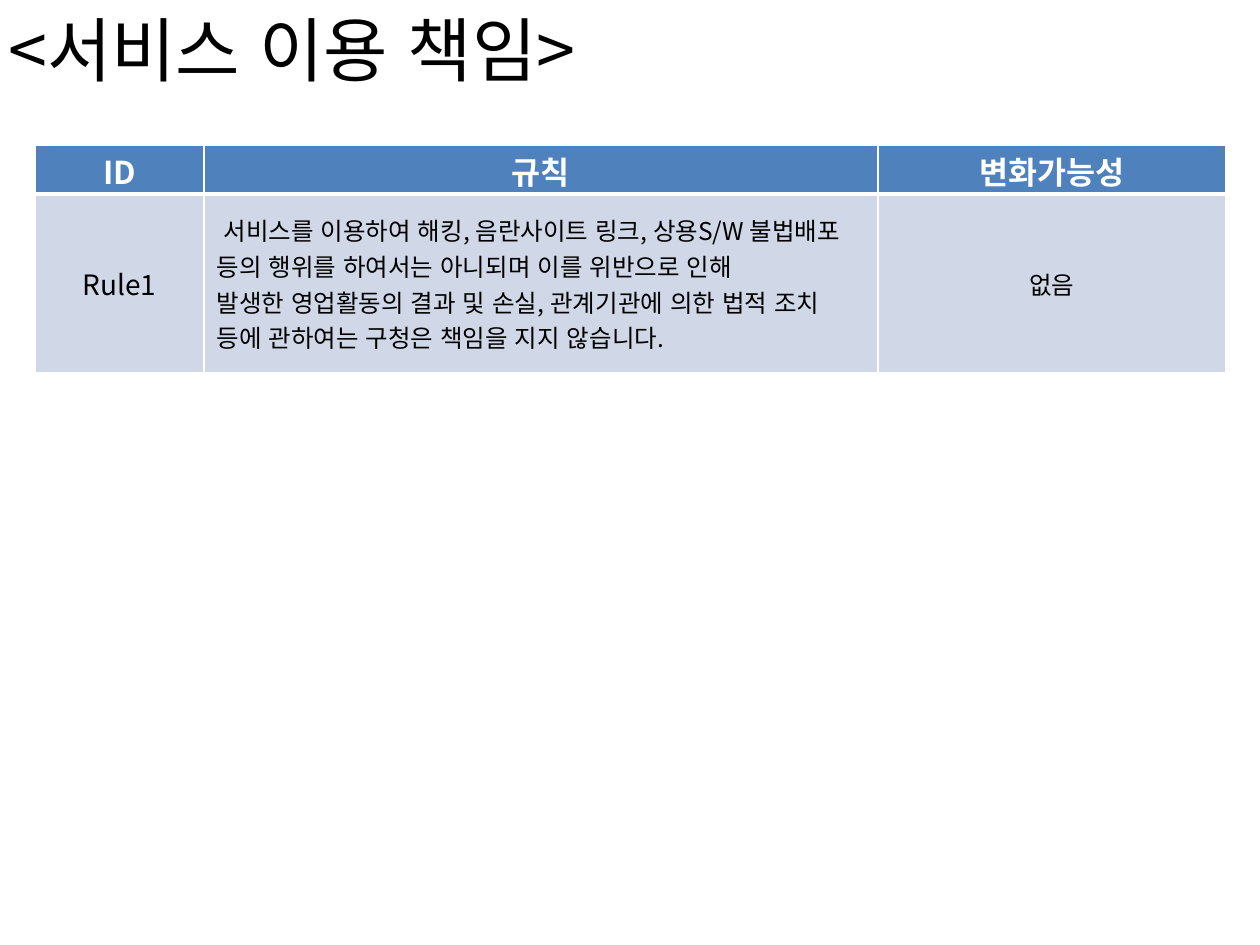
from lxml import etree
from pptx import Presentation
from pptx import util as u
from pptx.dml.color import RGBColor
from pptx.enum import lang, text
from pptx.oxml.ns import qn

SCALE = 914400 / 126
FONT = "Noto Sans CJK KR"
COLORS = {"black": "000000", "white": "FFFFFF", "header": "4F81BD", "body": "D0D8E8"}
HEADERS = ["ID", "규칙", "변화가능성"]
RULES = [
    " 서비스를 이용하여 해킹, 음란사이트 링크, 상용S/W 불법배포 등의 행위를 하여서는 아니되며 이를 위반으로 인해",
    "발생한 영업활동의 결과 및 손실, 관계기관에 의한 법적 조치 등에 관하여는 구청은 책임을 지지 않습니다.",
]


def px(value):
    return u.Emu(round(value * SCALE))


def color(name):
    return RGBColor.from_string(COLORS[name])


def write(frame, lines, size, fill="black", bold=False, align=text.PP_ALIGN.LEFT):
    frame.word_wrap = True
    for index, line in enumerate(lines):
        paragraph = frame.add_paragraph() if index else frame.paragraphs[0]
        paragraph.alignment = align
        run = paragraph.add_run()
        run.text = line
        run.font.size = u.Pt(size)
        run.font.bold = bold
        run.font.color.rgb = color(fill)
        run.font.name = FONT
        run.font.language_id = lang.MSO_LANGUAGE_ID.KOREAN
        east_asian = etree.SubElement(run.font._element, qn("a:ea"))
        east_asian.set("typeface", FONT)


def add_borders(cell, **widths):
    properties = cell._tc.get_or_add_tcPr()
    for side in "LRTB":
        line = etree.SubElement(properties, qn(f"a:ln{side}"), w=str(u.Pt(widths.get(side, 1))))
        fill = etree.SubElement(line, qn("a:solidFill"))
        etree.SubElement(fill, qn("a:srgbClr"), val=COLORS["white"])


def paint(cell, name):
    cell.fill.solid()
    cell.fill.fore_color.rgb = color(name)


def add_title(slide, left, top, width, height):
    box = slide.shapes.add_textbox(px(left), px(top), px(width), px(height))
    box.text_frame.vertical_anchor = text.MSO_ANCHOR.MIDDLE
    write(box.text_frame, ["<서비스 이용 책임>"], 40)


def add_rule_table(slide, left, top, columns, rows):
    frame = slide.shapes.add_table(
        len(rows), len(columns), px(left), px(top), px(sum(columns)), px(sum(rows))
    )
    table = frame.table
    for column, width in zip(table.columns, columns):
        column.width = px(width)
    for row, height in zip(table.rows, rows):
        row.height = px(height)

    center = text.PP_ALIGN.CENTER
    for index, label in enumerate(HEADERS):
        cell = table.cell(0, index)
        add_borders(cell, B=3)
        paint(cell, "header")
        cell.margin_top, cell.margin_bottom = px(3), 0
        write(cell.text_frame, [label], 18, fill="white", bold=True, align=center)

    body = [(["Rule1"], 16, center), (RULES, 14, text.PP_ALIGN.LEFT), (["없음"], 14, center)]
    for index, (lines, size, align) in enumerate(body):
        cell = table.cell(1, index)
        add_borders(cell, T=3)
        paint(cell, "body")
        cell.vertical_anchor = text.MSO_ANCHOR.MIDDLE
        write(cell.text_frame, lines, size, align=align)


def main():
    presentation = Presentation()
    presentation.slide_width = px(1260)
    presentation.slide_height = px(945)
    slide = presentation.slides.add_slide(presentation.slide_layouts[6])
    add_rule_table(slide, 35, 145, columns=[169, 674, 348], rows=[49, 179])
    add_title(slide, -4, 0, 1120, 97)
    presentation.save("out.pptx")


if __name__ == "__main__":
    main()
